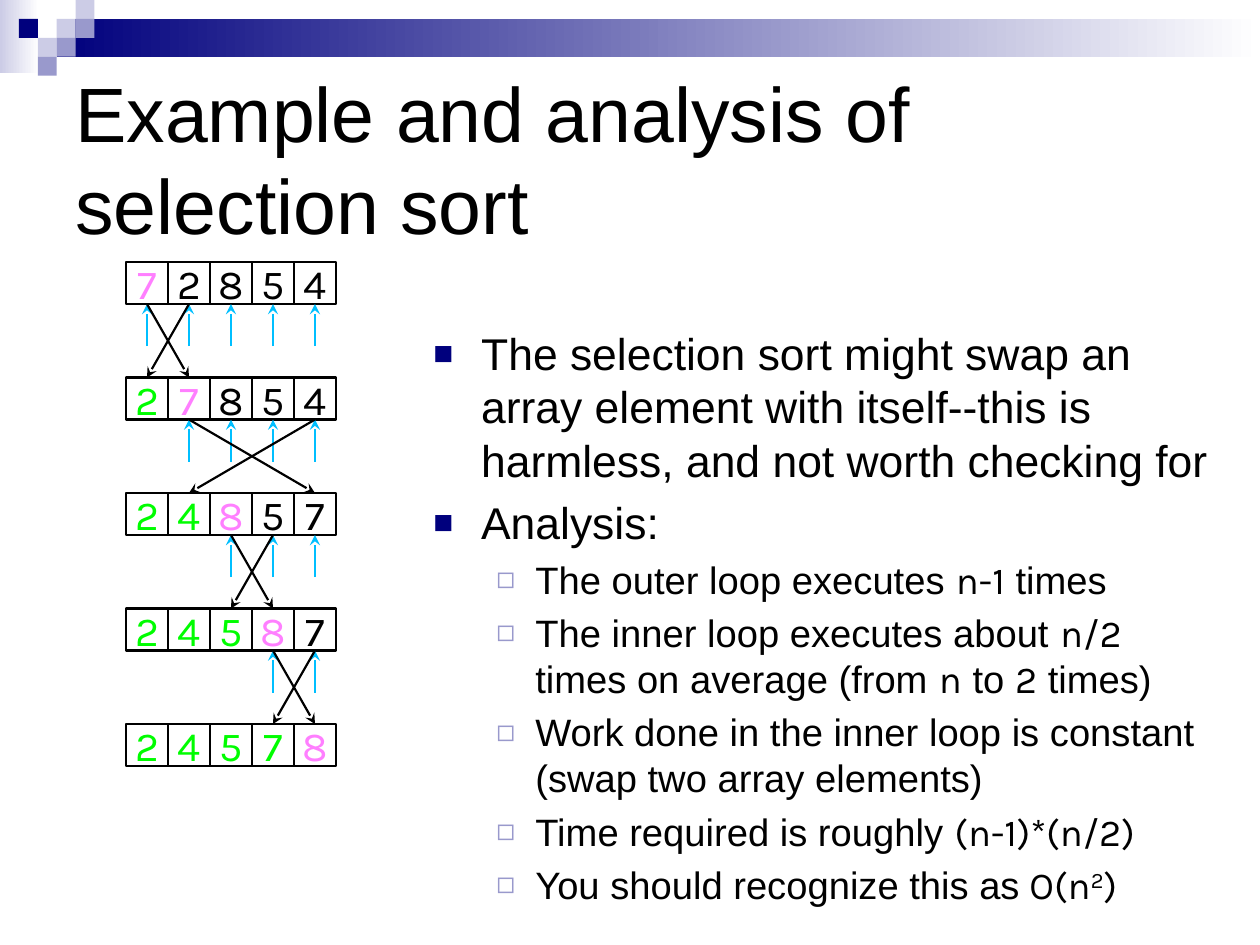
from lxml import etree
from pptx import Presentation
from pptx.dml.color import RGBColor
from pptx.enum.shapes import MSO_CONNECTOR, MSO_SHAPE
from pptx.enum.text import MSO_ANCHOR, PP_ALIGN
from pptx.oxml.ns import qn
from pptx.util import Inches, Pt

BLACK = RGBColor(0x00, 0x00, 0x00)
WHITE = RGBColor(0xFF, 0xFF, 0xFF)
NAVY = RGBColor(0x00, 0x00, 0x7D)
LAVENDER = RGBColor(0x99, 0x99, 0xCC)
PALE = RGBColor(0xCC, 0xCC, 0xE6)
PINK = RGBColor(0xFF, 0x7F, 0xFF)
GREEN = RGBColor(0x00, 0xFD, 0x00)
SKY = RGBColor(0x00, 0xBF, 0xFF)

TEXT_FONT = "Arial"
CODE_FONT = "Karla"

SQUARE = 0.15
SQUARES = [(3, 1, PALE), (4, 0, PALE), (4, 1, LAVENDER), (2, 2, PALE),
           (1, 1, NAVY), (3, 2, LAVENDER), (2, 3, LAVENDER)]

CELL = 1 / 3
ARRAY_LEFT = 1
ARRAY_TOP = 2.08
ROW_PITCH = 11 / 12
STATES = ["72854", "27854", "24857", "24587", "24578"]
SWAPS = [(0, 1), (1, 4), (2, 3), (3, 4)]

TEXT, CODE, SUPERSCRIPT = range(3)
LEVELS = [
    {"size": 25.4, "before": 5, "margin": 0.38, "hanging": 0.38,
     "bullet": "■", "color": NAVY, "percent": 75},
    {"size": 21.8, "before": 4.4, "margin": 0.81, "hanging": 0.31,
     "bullet": "◻", "color": LAVENDER, "percent": 80},
]
POINTS = [
    (0, [("The selection sort might swap an array element with itself--this is "
          "harmless, and not worth checking for", TEXT)]),
    (0, [("Analysis:", TEXT)]),
    (1, [("The outer loop executes ", TEXT), ("n-1", CODE), (" times", TEXT)]),
    (1, [("The inner loop executes about ", TEXT), ("n/2", CODE),
         (" times on average (from ", TEXT), ("n", CODE), (" to ", TEXT),
         ("2", CODE), (" times)", TEXT)]),
    (1, [("Work done in the inner loop is constant (swap two array elements)", TEXT)]),
    (1, [("Time required is roughly ", TEXT), ("(n-1)*(n/2)", CODE)]),
    (1, [("You should recognize this as", TEXT), (" O(n", CODE),
         ("2", SUPERSCRIPT), (")", CODE)]),
]


def add_block(slide, left, top, width, height, color, fade=False):
    shape = slide.shapes.add_shape(MSO_SHAPE.RECTANGLE, Inches(left), Inches(top),
                                   Inches(width), Inches(height))
    shape.shadow.inherit = False
    shape.line.fill.background()
    if fade:
        shape.fill.gradient()
        shape.fill.gradient_angle = 0
        for stop, stop_color in zip(shape.fill.gradient_stops, (color, WHITE)):
            stop.color.rgb = stop_color
    else:
        shape.fill.solid()
        shape.fill.fore_color.rgb = color


def add_header(slide):
    add_block(slide, 0, 0, 0.31, 0.58, PALE, fade=True)
    add_block(slide, 0.45, 0.15, 9.55, 0.3, NAVY, fade=True)
    for column, row, color in SQUARES:
        add_block(slide, column * SQUARE, row * SQUARE, SQUARE, SQUARE, color)


def add_text_frame(slide, left, top, width, height, anchor):
    box = slide.shapes.add_textbox(Inches(left), Inches(top),
                                   Inches(width), Inches(height))
    frame = box.text_frame
    frame.word_wrap = True
    frame.vertical_anchor = anchor
    return frame


def style_font(font, size, color, name):
    font.size = Pt(size)
    font.color.rgb = color
    font.name = name


def add_title(slide, text):
    frame = add_text_frame(slide, 0.5, 0.5, 9, 1.5, MSO_ANCHOR.MIDDLE)
    paragraph = frame.paragraphs[0]
    paragraph.text = text
    style_font(paragraph.font, 44, BLACK, TEXT_FONT)


def set_bullet(paragraph, level):
    properties = paragraph._p.get_or_add_pPr()
    properties.set("marL", str(Inches(level["margin"])))
    properties.set("indent", str(-Inches(level["hanging"])))
    color = etree.SubElement(properties, qn("a:buClr"))
    etree.SubElement(color, qn("a:srgbClr"), val=str(level["color"]))
    etree.SubElement(properties, qn("a:buSzPct"), val=str(level["percent"] * 1000))
    etree.SubElement(properties, qn("a:buFont"), typeface=TEXT_FONT)
    etree.SubElement(properties, qn("a:buChar"), char=level["bullet"])


def add_points(slide):
    frame = add_text_frame(slide, 3.34, 2.54, 6.42, 4.34, MSO_ANCHOR.TOP)
    for index, (depth, pieces) in enumerate(POINTS):
        paragraph = frame.add_paragraph() if index else frame.paragraphs[0]
        level = LEVELS[depth]
        paragraph.level = depth
        paragraph.space_before = Pt(level["before"])
        set_bullet(paragraph, level)
        for text, kind in pieces:
            run = paragraph.add_run()
            run.text = text
            style_font(run.font, level["size"], BLACK,
                       TEXT_FONT if kind == TEXT else CODE_FONT)
            if kind == SUPERSCRIPT:
                run._r.get_or_add_rPr().set("baseline", "30000")


def add_cell(slide, row, column, digit):
    cell = slide.shapes.add_shape(
        MSO_SHAPE.FLOWCHART_PROCESS, Inches(ARRAY_LEFT + column * CELL),
        Inches(ARRAY_TOP + row * ROW_PITCH), Inches(CELL), Inches(CELL))
    cell.shadow.inherit = False
    cell.fill.background()
    cell.line.color.rgb = BLACK
    cell.line.width = Pt(1.5)
    frame = cell.text_frame
    frame.word_wrap = False
    frame.vertical_anchor = MSO_ANCHOR.MIDDLE
    paragraph = frame.paragraphs[0]
    paragraph.text = digit
    paragraph.alignment = PP_ALIGN.CENTER
    color = GREEN if column < row else PINK if column == row else BLACK
    style_font(paragraph.font, 23.6, color, CODE_FONT)
    return cell


def add_arrow(slide, color, start_x=0, start_y=0):
    arrow = slide.shapes.add_connector(MSO_CONNECTOR.STRAIGHT, start_x, start_y,
                                       start_x, start_y)
    arrow.line.color.rgb = color
    arrow.line.width = Pt(1.25)
    etree.SubElement(arrow.line._get_or_add_ln(), qn("a:tailEnd"), type="stealth")
    etree.SubElement(arrow._element.spPr, qn("a:effectLst"))
    return arrow


def add_scan_arrow(slide, cell):
    arrow = add_arrow(slide, SKY, cell.left + cell.width // 2,
                      cell.top + 2 * cell.height)
    arrow.end_connect(cell, 2)


def add_swap_arrow(slide, source, target):
    arrow = add_arrow(slide, BLACK)
    arrow.begin_connect(source, 2)
    arrow.end_connect(target, 0)


def add_sort_trace(slide):
    rows = [[add_cell(slide, row, column, digit) for column, digit in enumerate(state)]
            for row, state in enumerate(STATES)]
    for step, (first, second) in enumerate(SWAPS):
        for cell in rows[step][step:]:
            add_scan_arrow(slide, cell)
        add_swap_arrow(slide, rows[step][first], rows[step + 1][second])
        add_swap_arrow(slide, rows[step][second], rows[step + 1][first])


def main():
    presentation = Presentation()
    presentation.slide_width = Inches(10)
    presentation.slide_height = Inches(7.5)
    slide = presentation.slides.add_slide(presentation.slide_layouts[6])
    add_header(slide)
    add_title(slide, "Example and analysis of selection sort")
    add_points(slide)
    add_sort_trace(slide)
    presentation.save("out.pptx")


if __name__ == "__main__":
    main()
